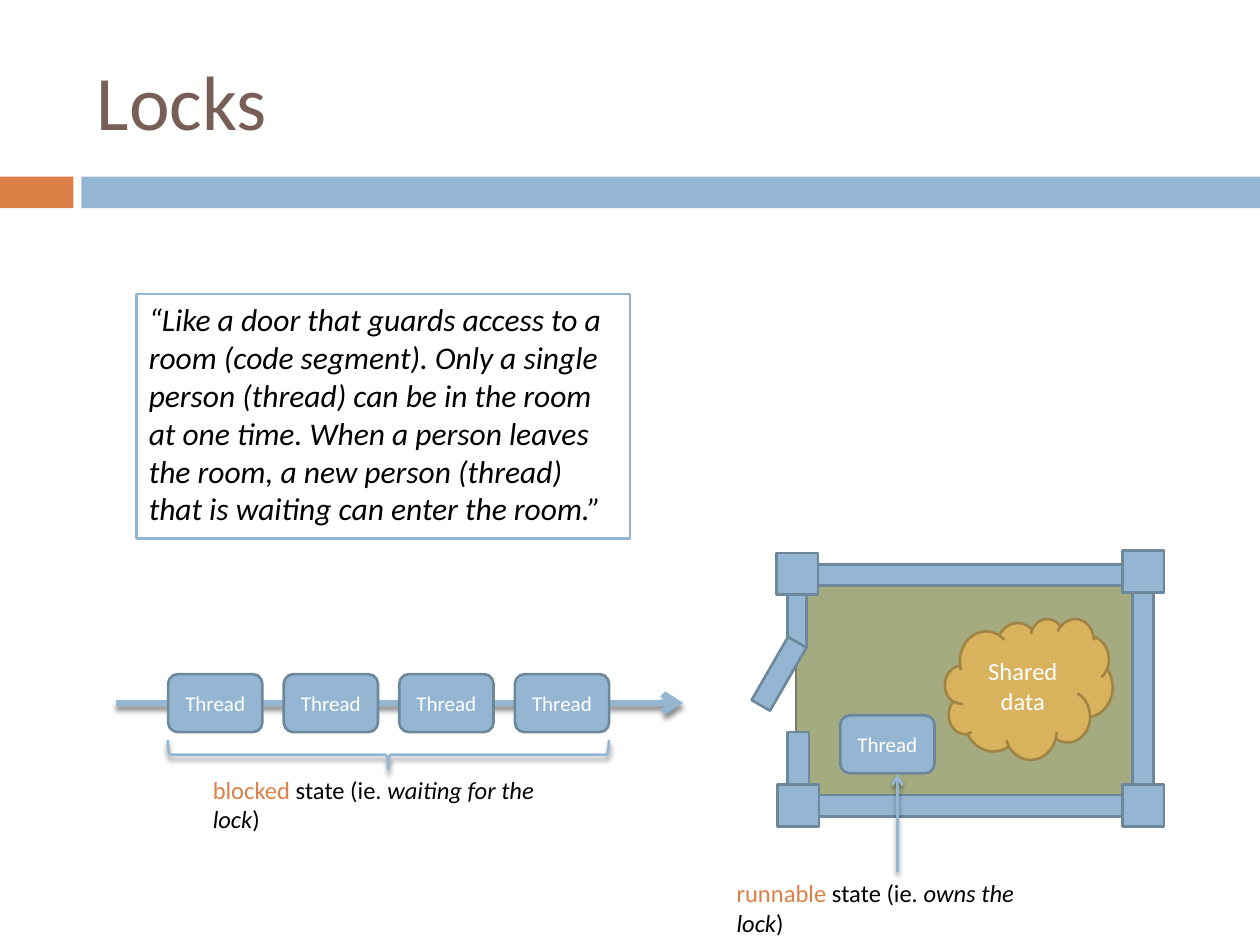
import lxml.etree
import pptx
import pptx.dml.color
import pptx.enum.shapes
import pptx.enum.text
import pptx.oxml.ns
import pptx.util

Cm = pptx.util.Cm
Pt = pptx.util.Pt
SHAPE = pptx.enum.shapes.MSO_SHAPE
ALIGN = pptx.enum.text.PP_ALIGN
ANCHOR = pptx.enum.text.MSO_ANCHOR

BLUE, DARK_BLUE = "94B6D2", "6D879B"
ORANGE, BROWN = "DD8047", "775F55"
GREEN, DARK_GREEN = "A5AB81", "7A7F5F"
GOLD, DARK_GOLD = "D8B25C", "A08444"
WHITE, BLACK = "FFFFFF", "000000"


def color(hex_text):
    return pptx.dml.color.RGBColor.from_string(hex_text)


def add_element(parent, tag, **attributes):
    return lxml.etree.SubElement(parent, pptx.oxml.ns.qn(tag), attributes)


def add_shadow(shape):
    properties = shape._element.spPr
    for old in properties.findall(pptx.oxml.ns.qn("a:effectLst")):
        properties.remove(old)
    effects = add_element(properties, "a:effectLst")
    shadow = add_element(effects, "a:outerShdw", blurRad="38100", dist="30000",
                         dir="5400000", rotWithShape="0")
    shade = add_element(shadow, "a:srgbClr", val=BLACK)
    add_element(shade, "a:alpha", val="45000")


def format_run(run, size, hex_text, italic=False):
    run.font.name = "Calibri"
    run.font.size = Pt(size)
    run.font.color.rgb = color(hex_text)
    run.font.italic = italic


def add_box(shapes, kind, box, fill=None, line=None, rotation=0):
    shape = shapes.add_shape(kind, *[Cm(length) for length in box])
    shape.shadow.inherit = False
    shape.rotation = rotation
    if fill:
        shape.fill.solid()
        shape.fill.fore_color.rgb = color(fill)
    else:
        shape.fill.background()
    if line:
        shape.line.color.rgb = color(line)
        shape.line.width = Pt(1.5)
    else:
        shape.line.fill.background()
    return shape


def write_in(shape, text, size, hex_text=WHITE, italic=False,
             align=ALIGN.CENTER, anchor=ANCHOR.MIDDLE):
    frame = shape.text_frame
    frame.text = text
    frame.word_wrap = True
    frame.vertical_anchor = anchor
    paragraph = frame.paragraphs[0]
    paragraph.alignment = align
    format_run(paragraph.runs[0], size, hex_text, italic)


def add_thread(shapes, left, top):
    shape = add_box(shapes, SHAPE.FLOWCHART_ALTERNATE_PROCESS,
                    (left, top, 1.9, 1.17), BLUE, DARK_BLUE)
    write_in(shape, "Thread", 12)


def add_arrow(shapes, start, end, width):
    arrow = shapes.add_connector(pptx.enum.shapes.MSO_CONNECTOR.STRAIGHT,
                                 *[Cm(length) for length in start + end])
    arrow.line.color.rgb = color(BLUE)
    arrow.line.width = Pt(width)
    add_element(arrow.line._get_or_add_ln(), "a:tailEnd", type="arrow")
    add_shadow(arrow)


def add_caption(shapes, box, state, action):
    text_box = shapes.add_textbox(*[Cm(length) for length in box])
    text_box.text_frame.word_wrap = True
    paragraph = text_box.text_frame.paragraphs[0]
    parts = [(state, ORANGE, False), (" state (ie. ", BLACK, False),
             (action, BLACK, True), (")", BLACK, False)]
    for text, hex_text, italic in parts:
        run = paragraph.add_run()
        run.text = text
        format_run(run, 14, hex_text, italic)


def add_title(slide, text):
    title = slide.shapes.title
    title.left, title.top = Cm(1.7), Cm(0.64)
    title.width, title.height = Cm(22.66), Cm(2.74)
    write_in(title, text, 44, BROWN, align=ALIGN.LEFT)


def add_room(shapes):
    room = shapes.add_group_shape().shapes
    add_box(room, SHAPE.RECTANGLE, (16.05, 11.58, 6.99, 4.65), GREEN, DARK_GREEN)
    walls = [(16.05, 11.38, 6.99, 0.43), (16.05, 16.03, 6.99, 0.43),
             (22.83, 11.58, 0.43, 4.65),
             (15.88, 11.58, 0.38, 1.47), (15.88, 14.76, 0.43, 1.47)]
    corners = [(15.65, 11.15), (22.63, 11.1), (22.63, 15.82), (15.67, 15.82)]
    posts = [corner + (0.84, 0.84) for corner in corners]
    for box in walls + posts:
        add_box(room, SHAPE.RECTANGLE, box, BLUE, DARK_BLUE)
    cloud = add_box(room, SHAPE.CLOUD, (19.05, 12.47, 3.38, 2.84), GOLD, DARK_GOLD)
    write_in(cloud, "Shared data", 14)
    # Open door
    add_box(room, SHAPE.RECTANGLE, (15.49, 12.85, 0.43, 1.47), BLUE, DARK_BLUE, 30)


def main():
    presentation = pptx.Presentation()
    presentation.slide_width, presentation.slide_height = Cm(25.4), Cm(19.05)
    slide = presentation.slides.add_slide(presentation.slide_layouts[5])
    shapes = slide.shapes

    # Title and the band below it
    add_title(slide, "Locks")
    add_box(shapes, SHAPE.RECTANGLE, (0, 3.56, 1.48, 0.64), ORANGE)
    add_box(shapes, SHAPE.RECTANGLE, (1.64, 3.56, 23.76, 0.64), BLUE)

    # Quote
    quote = add_box(shapes, SHAPE.RECTANGLE, (2.75, 5.93, 9.95, 4.93), WHITE, BLUE)
    write_in(quote, "“Like a door that guards access to a room (code segment). "
             "Only a single person (thread) can be in the room at one time. "
             "When a person leaves the room, a new person (thread) that is "
             "waiting can enter the room.”", 18, BLACK, True,
             ALIGN.LEFT, ANCHOR.TOP)

    # Queue of blocked threads
    add_arrow(shapes, (2.34, 14.17), (13.77, 14.17), 3.75)
    for index in range(4):
        add_thread(shapes, 3.39 + 2.33 * index, 13.59)
    brace = add_box(shapes, SHAPE.LEFT_BRACE, (7.53, 10.77, 0.6, 8.89),
                    line=BLUE, rotation=270)
    add_shadow(brace)
    add_caption(shapes, (4.04, 15.49, 7.9, 0.86), "blocked", "waiting for the lock")

    # Room with the thread that owns the lock
    add_room(shapes)
    add_thread(shapes, 16.94, 14.42)
    add_caption(shapes, (14.6, 17.58, 6.9, 0.86), "runnable", "owns the lock")
    add_arrow(shapes, (18.09, 17.58), (18.09, 15.6), 1.5)

    presentation.save("out.pptx")


if __name__ == "__main__":
    main()
